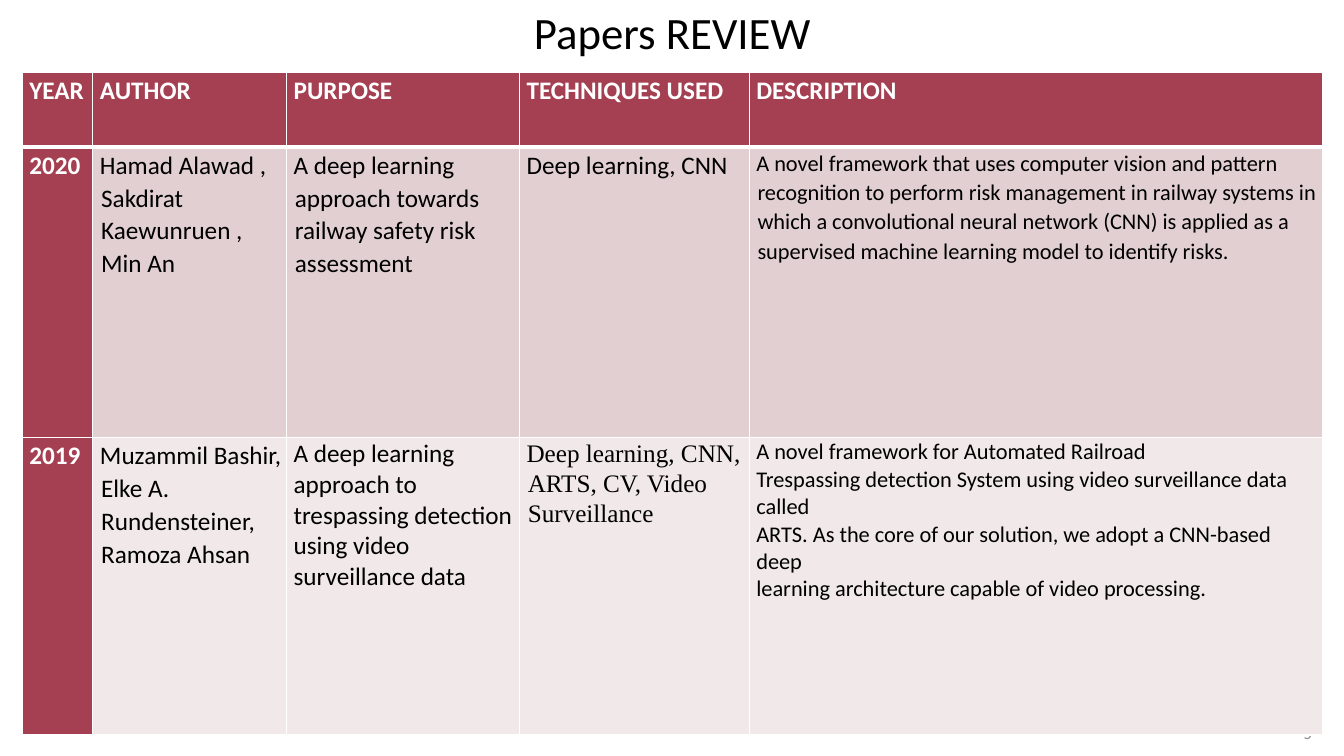
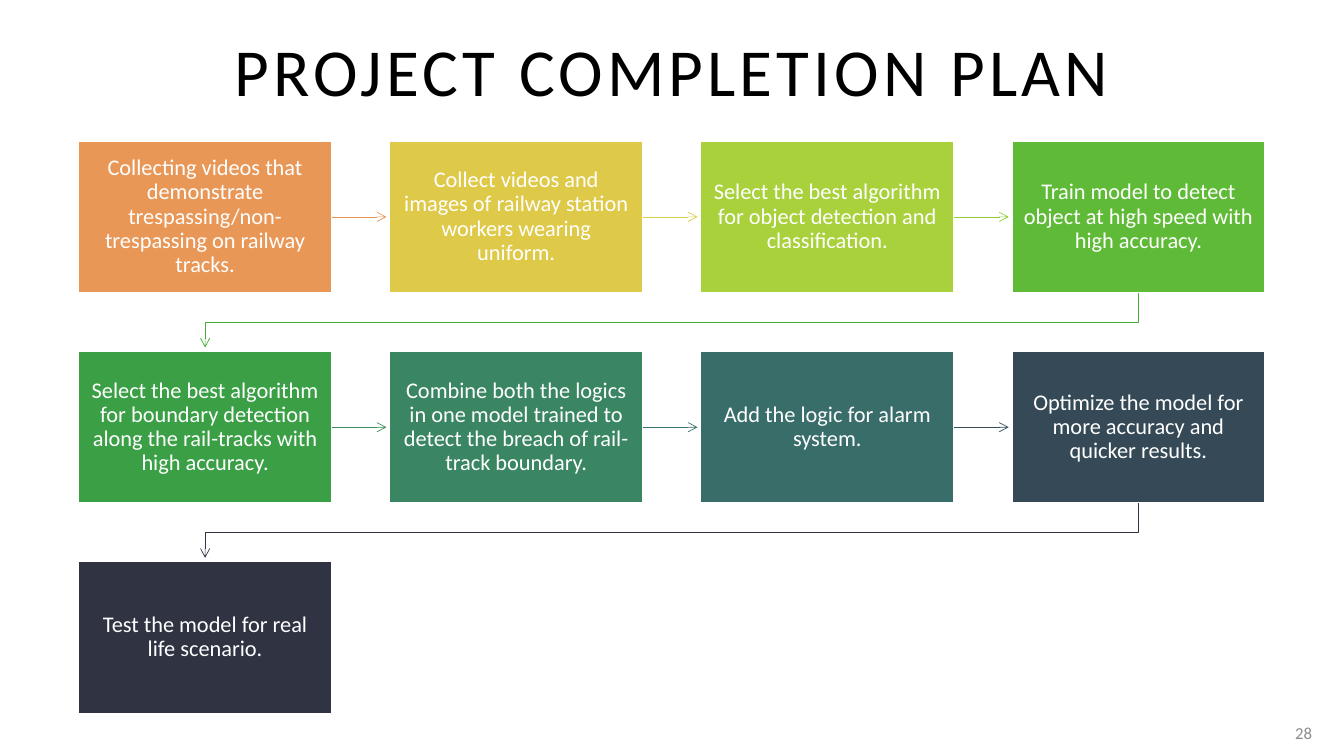
from dataclasses import dataclass
from itertools import pairwise

from lxml import etree
from pptx import Presentation
from pptx import util as u
from pptx.dml.color import RGBColor
from pptx.enum import shapes, text
from pptx.oxml.ns import qn

BODY_FONT = "Calibri"
WHITE, BLACK, GREY = "FFFFFF", "000000", "8C8C8C"
CRIMSON, ROSE, BLUSH = "A53F52", "E1CFD1", "F0E8E9"


@dataclass(frozen=True)
class Area:
    left: float
    top: float
    width: float
    height: float

    def lengths(self) -> tuple:
        return tuple(u.Cm(n) for n in (self.left, self.top, self.width, self.height))


@dataclass(frozen=True)
class Entry:
    lines: tuple[str, ...]
    size: int = 18
    font: str = BODY_FONT
    hanging: bool = True


@dataclass(frozen=True)
class Step:
    wording: str
    fill: str
    link: str = ""


PAGE_NUMBER = Area(32.08, 17.96, 1.24, 1.02)
REVIEW_TITLE = Area(5.82, 0, 22.25, 1.63)
PLAN_TITLE = Area(1.65, 0.61, 30.56, 2.29)

REVIEW_TABLE = Area(0.56, 1.83, 32.77, 16.69)
COLUMN_WIDTHS = (1.78, 4.88, 5.87, 5.79, 14.45)
ROW_HEIGHTS = (1.88, 7.32, 7.49)
ROW_FILLS = (CRIMSON, ROSE, BLUSH)
REVIEW_ROWS = (
    tuple(Entry((heading,)) for heading in
          ("YEAR", "AUTHOR", "PURPOSE", "TECHNIQUES USED", "DESCRIPTION")),
    (
        Entry(("2020",)),
        Entry(("Hamad Alawad , Sakdirat Kaewunruen , Min An",)),
        Entry(("A deep learning approach towards railway safety risk assessment",)),
        Entry(("Deep learning, CNN",)),
        Entry(("A novel framework that uses computer vision and pattern recognition to perform "
               "risk management in railway systems in which a convolutional neural network (CNN) "
               "is applied as a supervised machine learning model to identify risks.",), size=16),
    ),
    (
        Entry(("2019",)),
        Entry(("Muzammil Bashir, Elke A. Rundensteiner, Ramoza Ahsan",)),
        Entry(("A deep learning approach to trespassing detection",
               "using video surveillance data"), hanging=False),
        Entry(("Deep learning, CNN, ARTS, CV, Video Surveillance",), font="Times New Roman"),
        Entry(("A novel framework for Automated Railroad",
               "Trespassing detection System using video surveillance data called",
               "ARTS. As the core of our solution, we adopt a CNN-based deep",
               "learning architecture capable of video processing."), size=16, hanging=False),
    ),
)

STEPS_PER_ROW = 4
FIRST_STEP = Area(1.98, 3.55, 6.38, 3.83)
STEP_PITCH_X, STEP_PITCH_Y = 7.84, 5.3
LINK_REACH = 1.38
STEPS = (
    Step("Collecting videos that demonstrate trespassing/non-trespassing on railway tracks.",
         "E99757", "E99757"),
    Step("Collect videos and images of railway station workers wearing uniform.",
         "DEC948", "DCD046"),
    Step("Select the best algorithm for object detection and classification.",
         "A8D13B", "92CD38"),
    Step("Train model to detect object at high speed with high accuracy.",
         "5FBB37", "47AF39"),
    Step("Select the best algorithm for boundary detection along the rail-tracks with high accuracy.",
         "3A9F45", "3A9058"),
    Step("Combine both the logics in one model trained to detect the breach of rail-track boundary.",
         "3A8562", "397369"),
    Step("Add the logic for alarm system.", "386D6A", "354E59"),
    Step("Optimize the model for more accuracy and quicker results.", "354A56", "2F3342"),
    Step("Test the model for real life scenario.", "2F3342"),
)


def rgb(code: str) -> RGBColor:
    return RGBColor.from_string(code)


def style(paragraph, size: int, color: str, font: str = BODY_FONT, bold: bool = False) -> None:
    paragraph.font.size = u.Pt(size)
    paragraph.font.name = font
    paragraph.font.bold = bold
    paragraph.font.color.rgb = rgb(color)


def add_label(slide, area: Area, wording: str, size: int, color: str, align,
              anchor=text.MSO_ANCHOR.MIDDLE):
    frame = slide.shapes.add_textbox(*area.lengths()).text_frame
    frame.word_wrap = True
    frame.vertical_anchor = anchor
    paragraph = frame.paragraphs[0]
    paragraph.text = wording
    paragraph.alignment = align
    style(paragraph, size, color)
    return paragraph


def add_page_number(slide, number: int) -> None:
    add_label(slide, PAGE_NUMBER, str(number), 12, GREY, text.PP_ALIGN.RIGHT)


def add_borders(cell, bottom: int, top: int) -> None:
    properties = cell._tc.get_or_add_tcPr()
    for side, points in (("L", 1), ("R", 1), ("T", top), ("B", bottom)):
        border = etree.SubElement(properties, qn(f"a:ln{side}"), w=str(u.Pt(points)))
        fill = etree.SubElement(border, qn("a:solidFill"))
        etree.SubElement(fill, qn("a:srgbClr"), val=WHITE)


def fill_cell(cell, entry: Entry, fill: str) -> None:
    cell.fill.solid()
    cell.fill.fore_color.rgb = rgb(fill)
    cell.margin_left, cell.margin_right = u.Cm(0.18), u.Cm(0.1)
    cell.margin_top, cell.margin_bottom = u.Cm(0.02), u.Cm(0)
    cell.text = "\n".join(entry.lines)
    emphasized = fill == CRIMSON
    for paragraph in cell.text_frame.paragraphs:
        if entry.hanging:
            indent = u.Cm(0.03)
            properties = paragraph._p.get_or_add_pPr()
            properties.set("marL", str(indent))
            properties.set("indent", str(-indent))
            paragraph.line_spacing = 1.07
            paragraph.space_after = u.Pt(5.7)
        style(paragraph, entry.size, WHITE if emphasized else BLACK, entry.font, emphasized)


def add_review_table(slide) -> None:
    table = slide.shapes.add_table(
        len(ROW_HEIGHTS), len(COLUMN_WIDTHS), *REVIEW_TABLE.lengths()).table
    for column, width in zip(table.columns, COLUMN_WIDTHS):
        column.width = u.Cm(width)
    for r, (height, entries) in enumerate(zip(ROW_HEIGHTS, REVIEW_ROWS)):
        table.rows[r].height = u.Cm(height)
        for c, entry in enumerate(entries):
            cell = table.cell(r, c)
            add_borders(cell, bottom=3 if r == 0 else 1, top=3 if r == 1 else 1)
            fill_cell(cell, entry, CRIMSON if c == 0 else ROW_FILLS[r])


def step_area(index: int) -> Area:
    row, column = divmod(index, STEPS_PER_ROW)
    return Area(FIRST_STEP.left + column * STEP_PITCH_X, FIRST_STEP.top + row * STEP_PITCH_Y,
                FIRST_STEP.width, FIRST_STEP.height)


def add_step(slide, step: Step, area: Area) -> None:
    box = slide.shapes.add_shape(shapes.MSO_SHAPE.RECTANGLE, *area.lengths())
    box.shadow.inherit = False
    box.fill.solid()
    box.fill.fore_color.rgb = rgb(step.fill)
    box.line.color.rgb = rgb(WHITE)
    box.line.width = u.Pt(1)
    frame = box.text_frame
    frame.word_wrap = True
    frame.vertical_anchor = text.MSO_ANCHOR.MIDDLE
    frame.margin_left = frame.margin_right = u.Cm(0.3)
    frame.margin_top = frame.margin_bottom = u.Cm(0.3)
    paragraph = frame.paragraphs[0]
    paragraph.text = step.wording
    paragraph.alignment = text.PP_ALIGN.CENTER
    paragraph.line_spacing = 0.9
    style(paragraph, 16, WHITE)


def style_link(link, color: str) -> None:
    link.line.color.rgb = rgb(color)
    link.line.width = u.Pt(0.5)
    etree.SubElement(link.line._get_or_add_ln(), qn("a:tailEnd"), type="arrow")


def add_straight_link(slide, source: Area, color: str) -> None:
    start = source.left + source.width
    middle = u.Cm(source.top + source.height / 2)
    link = slide.shapes.add_connector(
        shapes.MSO_CONNECTOR.STRAIGHT, u.Cm(start), middle, u.Cm(start + LINK_REACH), middle)
    style_link(link, color)
    etree.SubElement(link._element.spPr, qn("a:effectLst"))


def add_return_link(slide, source: Area, target: Area, color: str) -> None:
    start_x = source.left + source.width / 2
    end_x = target.left + target.width / 2
    start_y = source.top + source.height
    turn_y = (start_y + target.top) / 2
    points = [(u.Cm(x), u.Cm(y)) for x, y in (
        (start_x, start_y), (start_x, turn_y), (end_x, turn_y), (end_x, start_y + LINK_REACH))]
    outline = slide.shapes.build_freeform(*points[0])
    outline.add_line_segments(points[1:], close=False)
    link = outline.convert_to_shape()
    link.shadow.inherit = False
    link.fill.background()
    style_link(link, color)


def add_plan(slide) -> None:
    areas = [step_area(index) for index in range(len(STEPS))]
    for step, area in zip(STEPS, areas):
        add_step(slide, step, area)
    for step, (source, target) in zip(STEPS, pairwise(areas)):
        if source.top == target.top:
            add_straight_link(slide, source, step.link)
        else:
            add_return_link(slide, source, target, step.link)


def build_review(slide) -> None:
    add_page_number(slide, 5)
    add_review_table(slide)
    add_label(slide, REVIEW_TITLE, "Papers REVIEW", 32, BLACK, text.PP_ALIGN.CENTER,
              text.MSO_ANCHOR.TOP)


def build_plan(slide) -> None:
    title = add_label(slide, PLAN_TITLE, "PROJECT COMPLETION PLAN", 48, BLACK,
                      text.PP_ALIGN.CENTER)
    title.runs[0]._r.get_or_add_rPr().set("spc", "300")
    add_page_number(slide, 28)
    add_plan(slide)


def main() -> None:
    deck = Presentation()
    deck.slide_width, deck.slide_height = u.Cm(33.87), u.Cm(19.05)
    blank = deck.slide_layouts[6]
    for build in (build_review, build_plan):
        build(deck.slides.add_slide(blank))
    deck.save("out.pptx")


if __name__ == "__main__":
    main()
